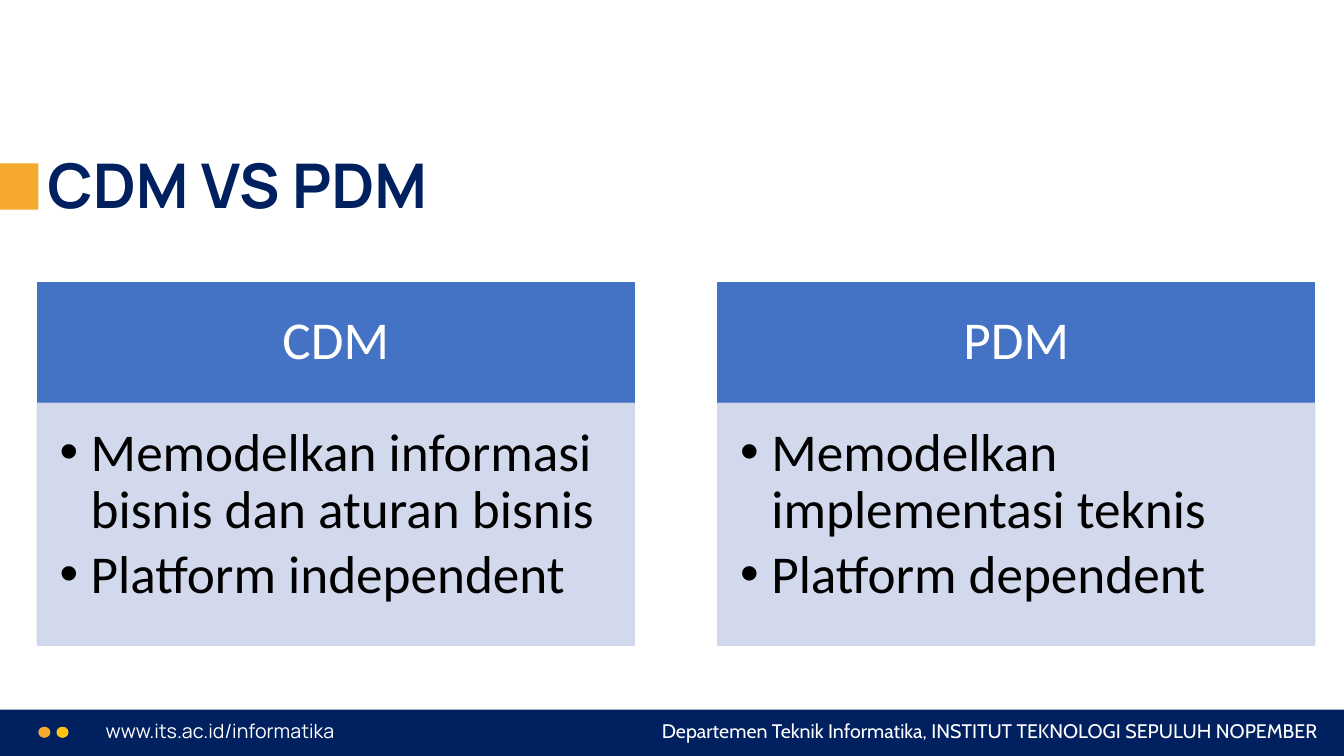
from lxml import etree
from pptx import Presentation
from pptx.dml.color import RGBColor
from pptx.enum.shapes import MSO_SHAPE
from pptx.enum.text import MSO_ANCHOR, MSO_AUTO_SIZE, PP_ALIGN
from pptx.oxml.ns import qn
from pptx.util import Inches, Pt

# Content
TITLE = "CDM VS PDM"
COLUMNS = [
    ("CDM", ["Memodelkan informasi bisnis dan aturan bisnis", "Platform independent"]),
    ("PDM", ["Memodelkan implementasi teknis", "Platform dependent"]),
]
WEBSITE = "www.its.ac.id/informatika"
DEPARTMENT = "Departemen Teknik Informatika, INSTITUT TEKNOLOGI SEPULUH NOPEMBER"

# Colours and options
NAVY = RGBColor(0x00, 0x20, 0x60)
ORANGE = RGBColor(0xF5, 0xAA, 0x2D)
YELLOW = RGBColor(0xFF, 0xC4, 0x11)
BLUE = RGBColor(0x44, 0x72, 0xC4)
PALE = RGBColor(0xCF, 0xD5, 0xEA)
WHITE = RGBColor(0xFF, 0xFF, 0xFF)
BLACK = RGBColor(0, 0, 0)
RECT, OVAL = MSO_SHAPE.RECTANGLE, MSO_SHAPE.OVAL
TOP, MIDDLE, BOTTOM = MSO_ANCHOR.TOP, MSO_ANCHOR.MIDDLE, MSO_ANCHOR.BOTTOM
LEFT, CENTER, RIGHT = PP_ALIGN.LEFT, PP_ALIGN.CENTER, PP_ALIGN.RIGHT
NO_FIT = MSO_AUTO_SIZE.NONE
COMPARISON_LAYOUT = 4

# Layout in inches
SLIDE_W, SLIDE_H = 13.33, 7.5
COLUMN_LEFT, COLUMN_W, COLUMN_STEP = 0.37, 5.92, 6.75
HEAD_TOP, HEAD_H, LIST_H = 2.8, 1.2, 2.4
FOOTER_TOP, FOOTER_H = 7.04, 0.46
INDENT = 0.31
DEFAULT_INSETS = (0.1, 0.05, 0.1, 0.05)

TITLE_FONT = {"name": "Manrope", "size": Pt(44), "bold": True}
COLUMN_FONT = {"name": "Calibri", "size": Pt(38), "bold": False}
WEBSITE_FONT = {"name": "Manrope", "size": Pt(14)}
DEPARTMENT_FONT = {"name": "Cabin", "size": Pt(14)}


def place(shape, left, top, width, height):
    box = {"left": left, "top": top, "width": width, "height": height}
    for name, value in box.items():
        setattr(shape, name, Inches(value))


def paint(shape, color, opacity=100):
    """Fill and outline a shape in one colour."""
    shape.fill.solid()
    shape.fill.fore_color.rgb = color
    shape.line.color.rgb = color
    shape.line.width = Pt(1)
    if opacity < 100:
        for tint in shape._element.spPr.iter(qn("a:srgbClr")):
            etree.SubElement(tint, qn("a:alpha"), val=str(opacity * 1000))


def add_block(page, kind, color, *box):
    shape = page.shapes.add_shape(kind, *map(Inches, box))
    shape.shadow.inherit = False
    shape.fill.solid()
    shape.fill.fore_color.rgb = color
    shape.line.fill.background()


def add_bullet(para):
    properties = para._p.get_or_add_pPr()
    properties.set("marL", str(Inches(INDENT)))
    properties.set("indent", str(-Inches(INDENT)))
    etree.SubElement(properties, qn("a:buFont"), typeface="Arial")
    etree.SubElement(properties, qn("a:buChar"), char="•")


def write(shape, lines, font, color, align=LEFT, anchor=TOP,
          insets=DEFAULT_INSETS, spacing=1.0, after=0, bullets=False):
    frame = shape.text_frame
    sides = ("margin_left", "margin_top", "margin_right", "margin_bottom")
    settings = dict(zip(sides, map(Inches, insets)))
    settings.update(word_wrap=True, auto_size=NO_FIT, vertical_anchor=anchor)
    for name, value in settings.items():
        setattr(frame, name, value)
    layout = {"alignment": align, "line_spacing": spacing,
              "space_before": Pt(0), "space_after": Pt(after)}
    for number, line in enumerate(lines):
        para = frame.add_paragraph() if number else frame.paragraphs[0]
        if bullets:
            add_bullet(para)
        for name, value in layout.items():
            setattr(para, name, value)
        span = para.add_run()
        span.text = line
        for name, value in font.items():
            setattr(span.font, name, value)
        span.font.color.rgb = color


def add_label(page, box, line, font, align=LEFT):
    label = page.shapes.add_textbox(*map(Inches, box))
    write(label, [line], font, WHITE, align)


def add_column(page, index, heading, points):
    left = COLUMN_LEFT + index * COLUMN_STEP
    head = page.placeholders[1 + 2 * index]
    place(head, left, HEAD_TOP, COLUMN_W, HEAD_H)
    paint(head, BLUE)
    write(head, [heading], COLUMN_FONT, WHITE, CENTER, MIDDLE,
          (0.3, 0.17, 0.3, 0.17), 0.9)

    body = page.placeholders[2 + 2 * index]
    place(body, left, HEAD_TOP + HEAD_H, COLUMN_W, LIST_H)
    paint(body, PALE, 90)
    write(body, points, COLUMN_FONT, BLACK, insets=(0.22, 0.22, 0.3, 0.33),
          spacing=0.9, after=5, bullets=True)


def main():
    deck = Presentation()
    deck.slide_width, deck.slide_height = Inches(SLIDE_W), Inches(SLIDE_H)
    page = deck.slides.add_slide(deck.slide_layouts[COMPARISON_LAYOUT])

    # Footer band
    add_block(page, RECT, NAVY, 0, FOOTER_TOP, SLIDE_W, FOOTER_H)
    for left, color in ((0.38, ORANGE), (0.56, YELLOW)):
        add_block(page, OVAL, color, left, 7.21, 0.12, 0.11)
    add_label(page, (0.95, 7.08, 4.28, 0.34), WEBSITE, WEBSITE_FONT)
    add_label(page, (5.91, 7.08, 7.26, 0.34), DEPARTMENT, DEPARTMENT_FONT, RIGHT)

    # Title with its marker
    add_block(page, RECT, ORANGE, 0, 1.62, 0.38, 0.46)
    title = page.shapes.title
    place(title, 0.37, 1.38, 12.66, 0.87)
    write(title, [TITLE], TITLE_FONT, NAVY, anchor=BOTTOM, spacing=0.9)

    # Compared columns
    for index, (heading, points) in enumerate(COLUMNS):
        add_column(page, index, heading, points)

    deck.save("out.pptx")


if __name__ == "__main__":
    main()
